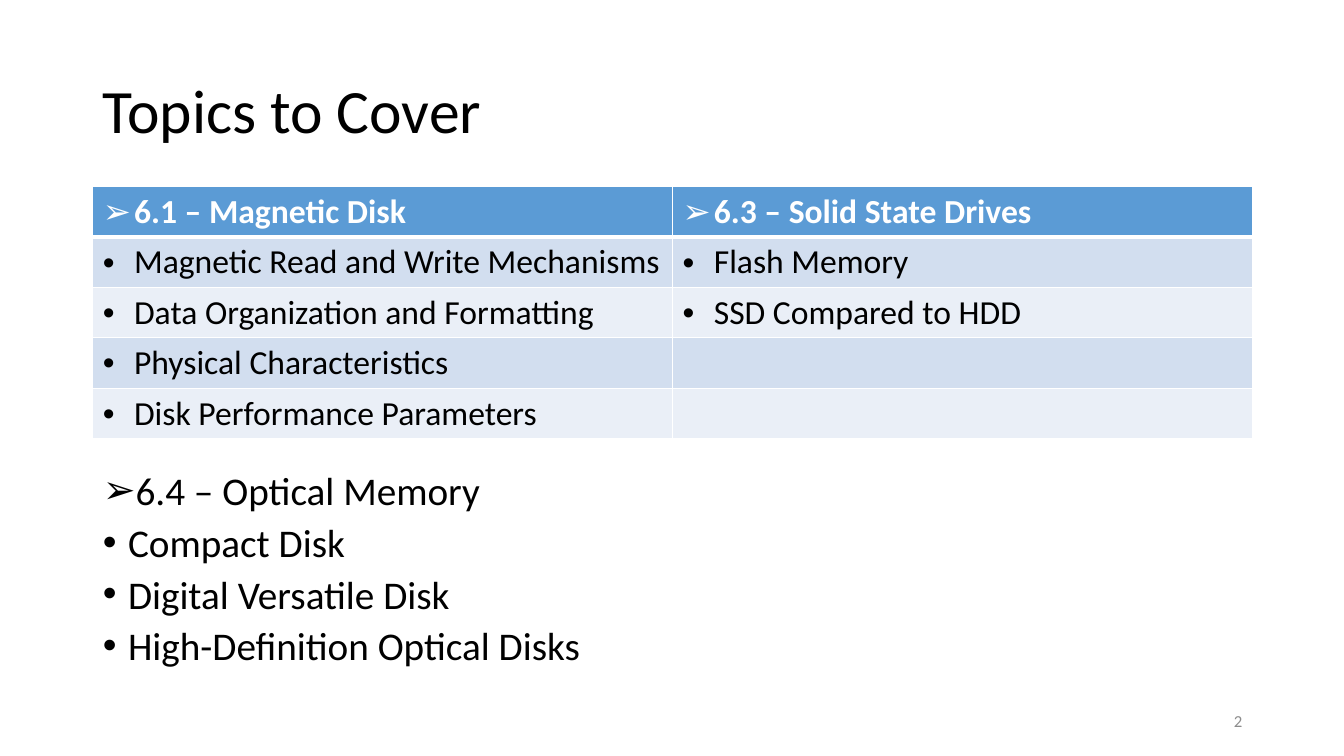
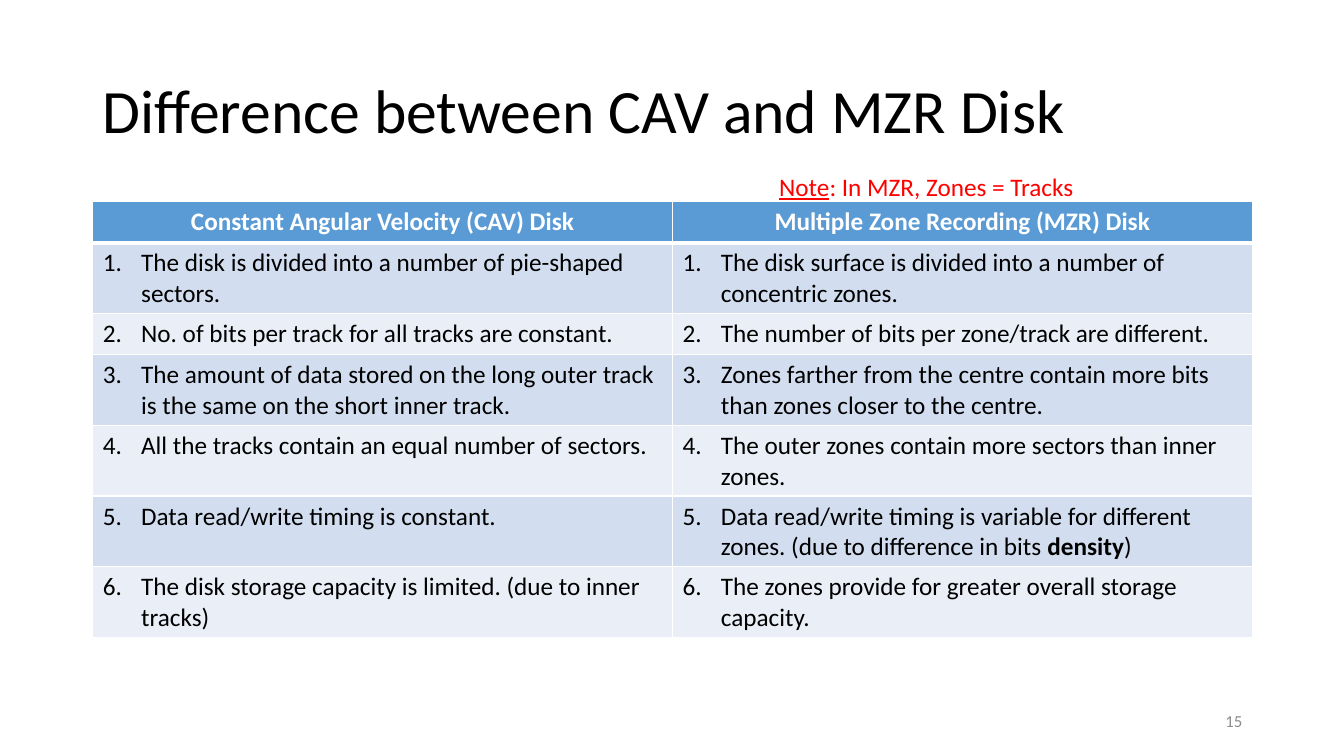
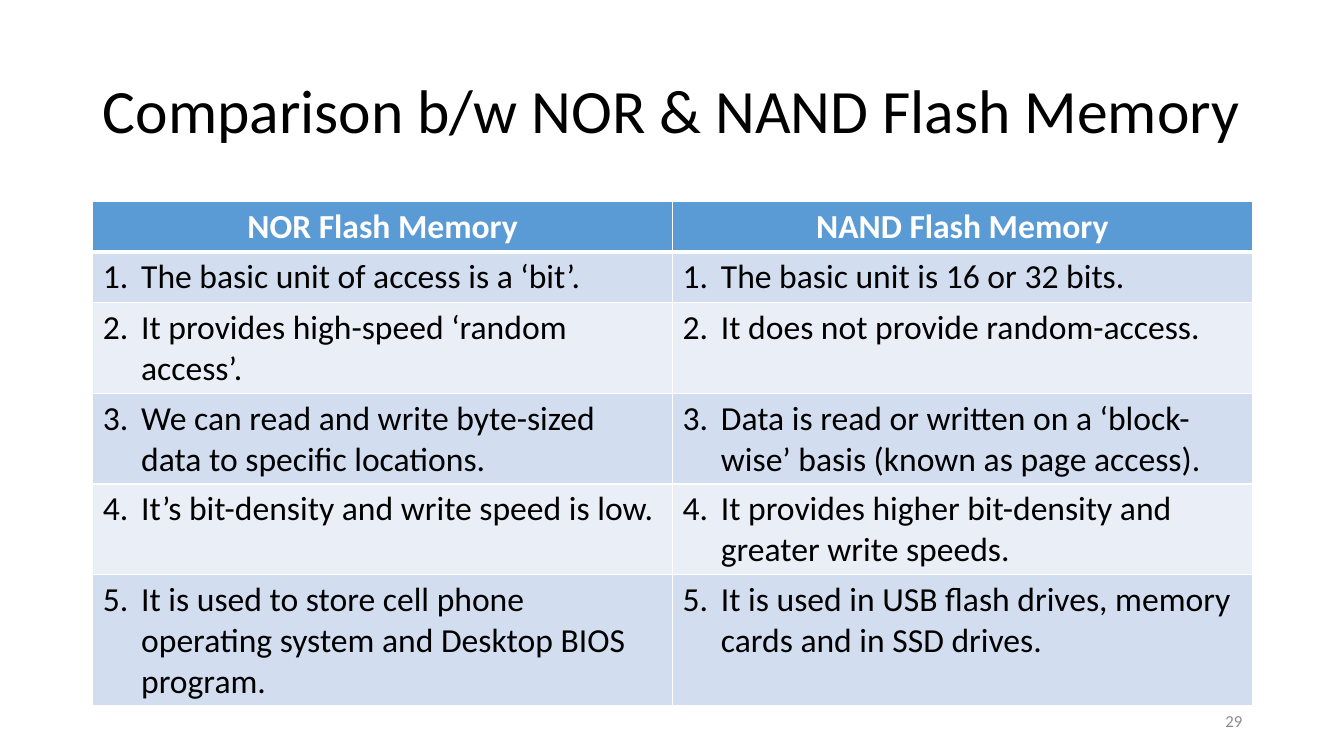
from lxml.etree import SubElement
from pptx import Presentation
from pptx.dml.color import RGBColor
from pptx.enum.text import MSO_ANCHOR, MSO_AUTO_SIZE, PP_ALIGN
from pptx.oxml.ns import qn
from pptx.util import Inches, Pt

# Shared look
BLACK = RGBColor(0x00, 0x00, 0x00)
WHITE = RGBColor(0xFF, 0xFF, 0xFF)
RED = RGBColor(0xFF, 0x00, 0x00)
GREY = RGBColor(0x8C, 0x8C, 0x8C)
HEADER_BLUE = RGBColor(0x5B, 0x9B, 0xD5)
BANDS = (RGBColor(0xD2, 0xDE, 0xEF), RGBColor(0xEA, 0xEF, 0xF7))

FONT = "Calibri"
LEFT, WIDTH = 0.92, 11.5
TITLE_BOX = (LEFT, 0.4, WIDTH, 1.45)
NUMBER_BOX = (9.42, 6.95, 3, 0.4)
ROW_HEIGHT = 0.41
ARROW, DOT = "➢", "•"
TITLE_AND_CONTENT, TITLE_ONLY = 1, 5

# Slide content
TOPICS = [
    ("6.1 – Magnetic Disk", "6.3 – Solid State Drives"),
    ("Magnetic Read and Write Mechanisms", "Flash Memory"),
    ("Data Organization and Formatting", "SSD Compared to HDD"),
    ("Physical Characteristics", ""),
    ("Disk Performance Parameters", ""),
]
OPTICAL = ["6.4 – Optical Memory", "Compact Disk", "Digital Versatile Disk",
           "High-Definition Optical Disks"]
DISKS = [
    ("Constant Angular Velocity (CAV) Disk", "Multiple Zone Recording (MZR) Disk"),
    ("The disk is divided into a number of pie-shaped sectors.",
     "The disk surface is divided into a number of concentric zones."),
    ("No. of bits per track for all tracks are constant.",
     "The number of bits per zone/track are different."),
    ("The amount of data stored on the long outer track is the same on the short inner track.",
     "Zones farther from the centre contain more bits than zones closer to the centre."),
    ("All the tracks contain an equal number of sectors.",
     "The outer zones contain more sectors than inner zones."),
    ("Data read/write timing is constant.",
     [("Data read/write timing is variable for different zones. (due to difference in bits ", {}),
      ("density", {"bold": True}), (")", {})]),
    ("The disk storage capacity is limited. (due to inner tracks)",
     "The zones provide for greater overall storage capacity."),
]
NOTE = [("Note", {"underline": True}), (": In MZR, Zones = Tracks", {})]
FLASH = [
    ("NOR Flash Memory", "NAND Flash Memory"),
    ("The basic unit of access is a ‘bit’.", "The basic unit is 16 or 32 bits."),
    ("It provides high-speed ‘random access’.", "It does not provide random-access."),
    ("We can read and write byte-sized data to specific locations.",
     "Data is read or written on a ‘block-wise’ basis (known as page access)."),
    ("It’s bit-density and write speed is low.",
     "It provides higher bit-density and greater write speeds."),
    ("It is used to store cell phone operating system and Desktop BIOS program.",
     "It is used in USB flash drives, memory cards and in SSD drives."),
]


def write(para, text, size, color=BLACK, bold=False):
    """Fill a paragraph with plain text or with (text, format) spans."""
    spans = [(text, {})] if isinstance(text, str) else text
    for words, changes in spans:
        span = para.add_run()
        span.text = words
        span.font.color.rgb = color
        values = {"name": FONT, "size": Pt(size), "bold": bold} | changes
        for name, value in values.items():
            setattr(span.font, name, value)


def add_marker(para, indent, bullet=None, start=1):
    """Hang a bullet character, or a number when no bullet is given."""
    properties = para._p.get_or_add_pPr()
    properties.set("marL", str(Inches(indent)))
    properties.set("indent", str(-Inches(indent)))
    if bullet:
        SubElement(properties, qn("a:buFont"), typeface="Arial")
        SubElement(properties, qn("a:buChar"), char=bullet)
    else:
        SubElement(properties, qn("a:buAutoNum"), type="arabicPeriod", startAt=str(start))


def place(shape, box):
    for name, value in zip(("left", "top", "width", "height"), box):
        setattr(shape, name, Inches(value))


def add_text_box(page, box, text, size, color, wrap=True):
    shape = page.shapes.add_textbox(*map(Inches, box))
    shape.text_frame.word_wrap = wrap
    write(shape.text_frame.paragraphs[0], text, size, color)
    return shape.text_frame


def add_page(deck, layout, title, number):
    """Add a slide with its title and slide number."""
    page = deck.slides.add_slide(deck.slide_layouts[layout])
    place(page.shapes.title, TITLE_BOX)
    frame = page.shapes.title.text_frame
    frame.auto_size = MSO_AUTO_SIZE.NONE
    frame.vertical_anchor = MSO_ANCHOR.MIDDLE
    para = frame.paragraphs[0]
    para.alignment = PP_ALIGN.LEFT
    para.line_spacing = 0.9
    write(para, title, 44)

    frame = add_text_box(page, NUMBER_BOX, str(number), 12, GREY)
    frame.vertical_anchor = MSO_ANCHOR.MIDDLE
    frame.paragraphs[0].alignment = PP_ALIGN.RIGHT
    return page


def add_borders(cell, widths):
    properties = cell._tc.get_or_add_tcPr()
    for side, width in widths.items():
        line = SubElement(properties, qn(f"a:ln{side}"), w=str(Pt(width)))
        fill = SubElement(line, qn("a:solidFill"))
        SubElement(fill, qn("a:srgbClr"), val=str(WHITE))


def add_banded_table(page, top, rows, size, bulleted=False):
    """Two equal columns; a header row, then banded bulleted or numbered rows."""
    box = (LEFT, top, WIDTH, ROW_HEIGHT * len(rows))
    table = page.shapes.add_table(len(rows), 2, *map(Inches, box)).table
    table.horz_banding = False
    for index, texts in enumerate(rows):
        table.rows[index].height = Inches(ROW_HEIGHT)
        header = index == 0
        for column, text in enumerate(texts):
            cell = table.cell(index, column)
            add_borders(cell, {"L": 1, "R": 1, "T": 3 if index == 1 else 1,
                               "B": 3 if header else 1})
            cell.fill.solid()
            cell.fill.fore_color.rgb = HEADER_BLUE if header else BANDS[(index - 1) % 2]
            if not text:
                continue
            para = cell.text_frame.paragraphs[0]
            if bulleted:
                add_marker(para, 0.31, ARROW if header else DOT)
            elif header:
                para.alignment = PP_ALIGN.CENTER
            else:
                add_marker(para, 0.38, start=index)
            write(para, text, size, WHITE if header else BLACK, header)


def fill_list(body, box, items):
    """Bulleted list whose first item is an arrowed heading."""
    place(body, box)
    frame = body.text_frame
    frame.auto_size = MSO_AUTO_SIZE.NONE
    for index, item in enumerate(items):
        para = frame.add_paragraph() if index else frame.paragraphs[0]
        add_marker(para, 0.25, DOT if index else ARROW)
        para.line_spacing = 0.8
        para.space_before = Pt(10 if index else 0)
        write(para, item, 28)


def add_topics(deck):
    page = add_page(deck, TITLE_AND_CONTENT, "Topics to Cover", 2)
    fill_list(page.placeholders[1], (LEFT, 4.67, WIDTH, 2.09), OPTICAL)
    add_banded_table(page, 1.85, TOPICS, 24, bulleted=True)


def add_disk_comparison(deck):
    page = add_page(deck, TITLE_ONLY, "Difference between CAV and MZR Disk", 15)
    add_banded_table(page, 2, DISKS, 18)
    add_text_box(page, (7.63, 1.65, 3.15, 0.4), NOTE, 18, RED, wrap=False)


def add_flash_comparison(deck):
    page = add_page(deck, TITLE_ONLY, "Comparison b/w NOR & NAND Flash Memory", 29)
    add_banded_table(page, 2, FLASH, 24)


def main():
    deck = Presentation()
    deck.slide_width, deck.slide_height = Inches(13.33), Inches(7.5)
    add_topics(deck)
    add_disk_comparison(deck)
    add_flash_comparison(deck)
    deck.save("out.pptx")


if __name__ == "__main__":
    main()
